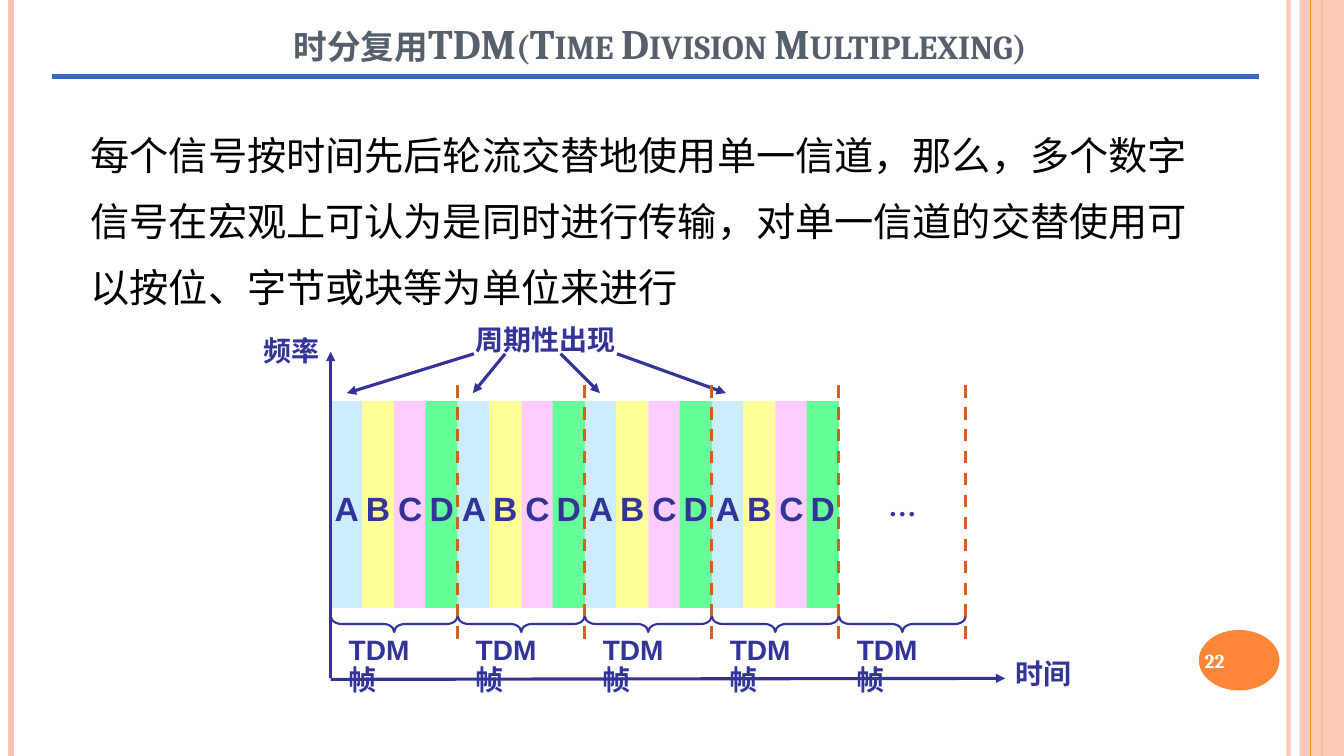
from dataclasses import dataclass

from pptx import Presentation
from pptx.dml.color import RGBColor as Rgb
from pptx.enum.dml import MSO_LINE as Dash
from pptx.enum.shapes import MSO_CONNECTOR as Link, MSO_SHAPE as Kind
from pptx.enum.text import MSO_ANCHOR as Anchor, PP_ALIGN as Align
from pptx.oxml.ns import qn
from pptx.oxml.xmlchemy import OxmlElement as Node
from pptx.util import Pt

SCALE = 9144


@dataclass(frozen=True)
class Theme:
    """Colours, fonts and type sizes of the slide."""
    peach: str = "FEC3AE"
    orange: str = "FE8637"
    rust: str = "D2611C"
    blue: str = "3668C4"
    navy: str = "333399"
    slate: str = "575F6D"
    black: str = "000000"
    white: str = "FFFFFF"
    slots: tuple = (("A", "CCECFF"), ("B", "FFFF99"),
                    ("C", "FFCCFF"), ("D", "66FF99"))
    sans: str = "Arial"
    serif: str = "Cambria"
    roman: str = "Times New Roman"
    title: int = 30
    body: int = 28
    slot: int = 24
    label: int = 20
    number: int = 14


THEME = Theme()


def px(*vals):
    """Turn whole px into EMU."""
    return [val * SCALE for val in vals]


def put(item, **vals):
    """Set attributes of an object from format values."""
    for key, val in vals.items():
        setattr(item, key, val)


def fade(item, share):
    """Make the colour of a shape partly opaque."""
    for color in item.element.spPr.iter(qn("a:srgbClr")):
        alpha = Node("a:alpha")
        alpha.set("val", str(share * 1000))
        color.append(alpha)


def write(shape, text, size, color, font, bold=True, para=None, frame=None):
    """Fill a shape with one styled paragraph."""
    body = shape.text_frame
    put(body, **{"word_wrap": False, "vertical_anchor": Anchor.TOP, **(frame or {})})
    line = body.paragraphs[0]
    put(line, **{"alignment": Align.LEFT, **(para or {})})
    run = line.add_run()
    run.text = text
    put(run.font, name=font, size=Pt(size), bold=bold)
    run.font.color.rgb = Rgb.from_string(color)


def label(slide, box, text, size, color, font, **more):
    """Add a text box."""
    shape = slide.shapes.add_textbox(*px(*box))
    write(shape, text, size, color, font, **more)
    return shape


def block(slide, kind, box, fill):
    """Add a plain filled shape."""
    shape = slide.shapes.add_shape(kind, *px(*box))
    shape.shadow.inherit = False
    shape.fill.solid()
    shape.fill.fore_color.rgb = Rgb.from_string(fill)
    shape.line.fill.background()
    return shape


def rule(slide, ends, color, width, arrow=False, dash=None):
    """Add a straight line, with an arrowhead if asked."""
    wire = slide.shapes.add_connector(Link.STRAIGHT, *px(*ends))
    wire.line.color.rgb = Rgb.from_string(color)
    put(wire.line, width=Pt(width), dash_style=dash)
    props = wire.element.spPr
    if arrow:
        tail = Node("a:tailEnd")
        tail.set("type", "triangle")
        props.find(qn("a:ln")).append(tail)
    props.append(Node("a:effectLst"))
    return wire


def brace(slide, left, top, width, height):
    """Add a brace that lies flat and points down."""
    mid, half = left + width // 2, top + height // 2
    box = (mid - height // 2, half - width // 2, height, width)
    shape = slide.shapes.add_shape(Kind.LEFT_BRACE, *px(*box))
    shape.shadow.inherit = False
    shape.fill.background()
    shape.line.color.rgb = Rgb.from_string(THEME.navy)
    shape.line.width = Pt(1.5)
    shape.rotation = 270
    shape.adjustments[0] = 0.67


def border(slide):
    """Draw the side stripes and the page number."""
    fade(rule(slide, (1278, 0, 1278, 750), THEME.peach, 3), 93)
    rule(slide, (11, 0, 11, 750), THEME.peach, 4.5)
    rule(slide, (1311, 0, 1311, 750), THEME.orange, 1.5)
    fade(block(slide, Kind.RECTANGLE, (1289, 0, 44, 750), THEME.peach), 87)
    rule(slide, (1300, 0, 1300, 750), THEME.orange, 0.75)
    block(slide, Kind.OVAL, (1189, 625, 80, 60), THEME.orange)
    label(slide, (1185, 627, 89, 57), "22", THEME.number, THEME.white, THEME.serif,
          frame={"word_wrap": True, "vertical_anchor": Anchor.MIDDLE})


def prose(slide):
    """Add the title and the main text."""
    rule(slide, (52, 76, 1249, 76), THEME.blue, 3.5)
    title = label(slide, (21, -16, 1260, 88),
                  " 时分复用TDM(Time Division Multiplexing)",
                  THEME.title, THEME.slate, THEME.serif,
                  para={"alignment": Align.CENTER},
                  frame={"word_wrap": True, "vertical_anchor": Anchor.BOTTOM})
    for props in title.element.iter(qn("a:rPr")):
        props.set("cap", "small")
    label(slide, (80, 107, 1138, 123),
          "每个信号按时间先后轮流交替地使用单一信道，那么，多个数字信号在宏观上可认为是同时进行传输，"
          "对单一信道的交替使用可以按位、字节或块等为单位来进行",
          THEME.body, THEME.black, THEME.sans, bold=False,
          para={"line_spacing": 1.4}, frame={"word_wrap": True})


def chart(slide):
    """Draw the frames of slots over time."""
    left, pitch, full = 328, 126, 4
    navy, tight = THEME.navy, {"line_spacing": 0.9}
    loose = {"alignment": Align.CENTER, "line_spacing": 1.2}
    inner = {"vertical_anchor": Anchor.MIDDLE, "margin_left": 0, "margin_right": 0}
    rule(slide, (left, 674, 997, 673), navy, 2.25, arrow=True)
    for at in range(full):
        for pos, (name, fill) in enumerate(THEME.slots):
            x = left + at * pitch + pos * pitch // 4
            tile = block(slide, Kind.RECTANGLE, (x, 398, 32, 205), fill)
            write(tile, name, THEME.slot, navy, THEME.sans, para=loose, frame=inner)
    for start, end in ((470, 344), (501, 469), (556, 595), (612, 720)):
        rule(slide, (start, 351, end, 390), navy, 2.25, arrow=True)
    rule(slide, (left, 673, left, 349), navy, 2.25, arrow=True)
    for at in range(full + 1):
        x = left + at * pitch
        label(slide, (x + 8, 626, 108, 40), "TDM 帧", THEME.label, navy, THEME.sans,
              para=tight, frame={"word_wrap": True})
        brace(slide, x, 611, pitch, 16)
        rule(slide, (x + pitch, 382, x + pitch, 642), THEME.rust, 2.25, dash=Dash.DASH)
    label(slide, (871, 473, 48, 50), "…", THEME.label, navy, THEME.roman, para=loose)
    for text, x, y, width in (("频率", 252, 330, 77), ("时间", 997, 650, 77),
                              ("周期性出现", 462, 319, 161)):
        label(slide, (x, y, width, 40), text, THEME.label, navy, THEME.roman, para=tight)


def main():
    """Build the slide and save it."""
    deck = Presentation()
    wide, high = px(1333, 750)
    put(deck, slide_width=wide, slide_height=high)
    slide = deck.slides.add_slide(deck.slide_layouts[6])
    for draw in (border, prose, chart):
        draw(slide)
    deck.save("out.pptx")


if __name__ == "__main__":
    main()
